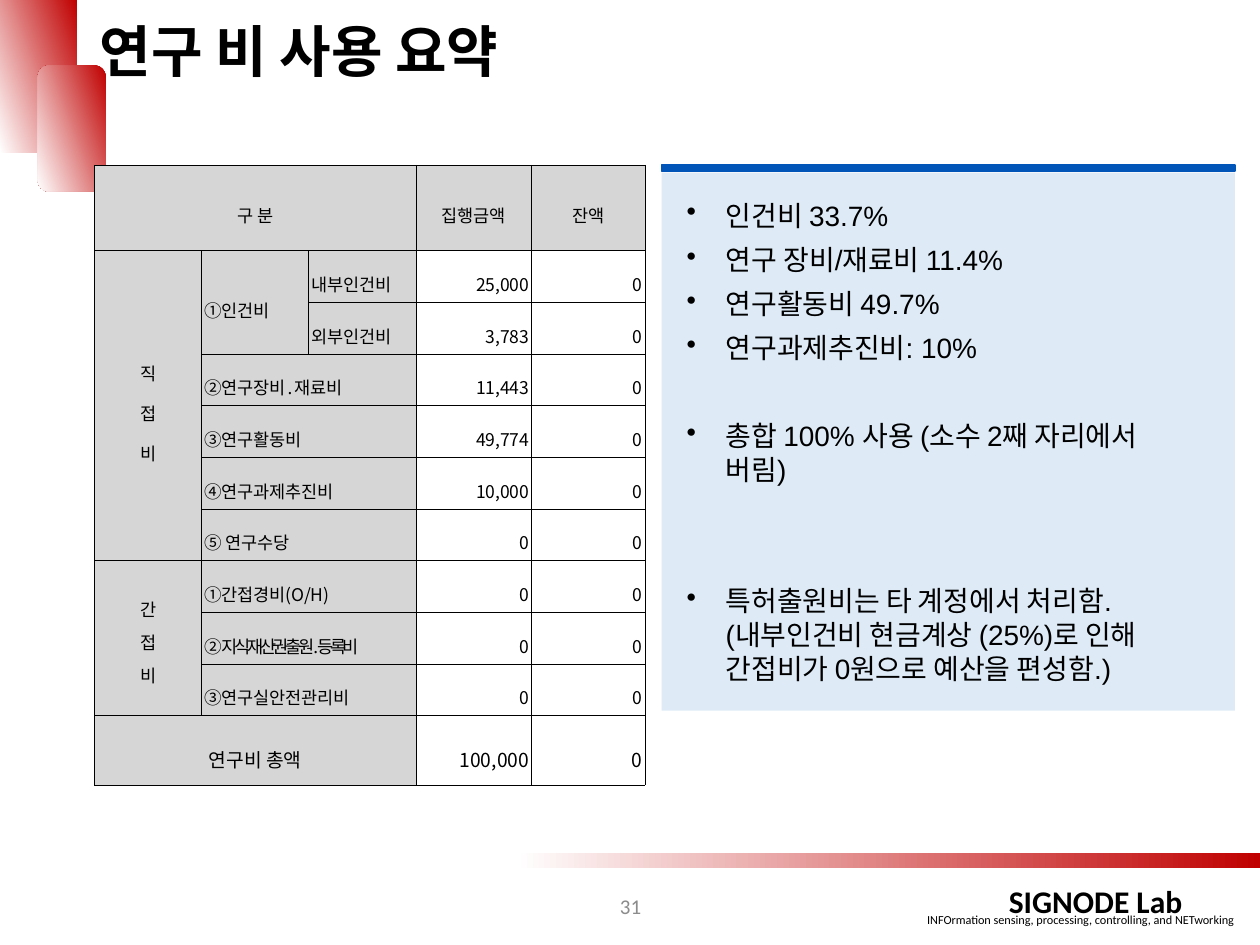
from pptx import Presentation
from pptx.util import Inches, Pt
from pptx.dml.color import RGBColor
from pptx.enum.shapes import MSO_SHAPE as Kind
from pptx.enum.text import MSO_ANCHOR as Anchor, MSO_AUTO_SIZE as Auto, PP_ALIGN as Align
from pptx.oxml import parse_xml
from pptx.oxml.ns import nsdecls
from lxml.etree import SubElement

TITLE = "연구 비 사용 요약"
NOTES = [
    ("인건비 33.7%", 6),
    ("연구 장비/재료비 11.4%", 6),
    ("연구활동비 49.7%", 6),
    ("연구과제추진비: 10%", 6),
    ("총합 100% 사용 (소수 2째 자리에서 버림)", 31),
    ("특허출원비는 타 계정에서 처리함. (내부인건비 현금계상 (25%)로 인해 간접비가 0원으로 예산을 편성함.)", 56),
]
FOOT = [
    ("INFOrmation sensing, processing, controlling, and NETworking",
     (7.26, 7.19, 2.93, 0.22), 7, "000000", False, Align.LEFT, Anchor.TOP),
    ("SIGNODE Lab", (7.39, 6.95, 2.61, 0.4), 18, "000000", True, Align.CENTER, Anchor.TOP),
    ("31", (3.88, 6.99, 2.25, 0.4), 12, "8C8C8C", False, Align.CENTER, Anchor.MIDDLE),
]
DECOR = [
    (Kind.RECTANGLE, (0, 0, 0.61, 1.21), ("C00000", "FFFFFF"), 160),
    (Kind.FLOWCHART_ALTERNATE_PROCESS, (0.3, 0.52, 0.54, 1), ("C00000", "FFFFFF"), 160),
    (Kind.RECTANGLE, (4.09, 6.77, 5.91, 0.12), ("FFFFFF", "C00000"), 0),
]
ROWS = [
    ("구 분", "", "", "집행금액", "잔액"),
    ("직\n접\n비", "①인건비", "내부인건비", "25,000", "0"),
    ("", "", "외부인건비", "3,783", "0"),
    ("", "②연구장비․재료비", "", "11,443", "0"),
    ("", "③연구활동비", "", "49,774", "0"),
    ("", "④연구과제추진비", "", "10,000", "0"),
    ("", "⑤ 연구수당", "", "0", "0"),
    ("간\n접\n비", "①간접경비(O/H)", "", "0", "0"),
    ("", "②지식재산권출원․등록비", "", "0", "0"),
    ("", "③연구실안전관리비", "", "0", "0"),
    ("연구비 총액", "", "", "100,000", "0"),
]
SPANS = [(0, 0, 0, 2), (1, 0, 6, 0), (1, 1, 2, 1), (7, 0, 9, 0), (10, 0, 10, 2)]
SPANS += [(r, 1, r, 2) for r in range(3, 10)]
WIDTHS = [0.85, 0.85, 0.85, 0.92, 0.9]
HEIGHTS = [0.68] + [0.41] * 9 + [0.55]
TIGHT = "지식재산권출원․등록비"


def rgb(code):
    """Turn a hex string into a colour."""
    return RGBColor.from_string(code)


def box(at):
    """Turn inches into lengths."""
    return [Inches(n) for n in at]


def style(par, size, face="Calibri", color="000000", bold=False, align=Align.LEFT):
    """Set the font and alignment of a paragraph."""
    font = par.font
    font.size, font.name, font.bold = Pt(size), face, bold
    font.color.rgb = rgb(color)
    par.alignment = align


def block(slide, kind, at, fill=None):
    """Add a preset shape without shadow or line."""
    shape = slide.shapes.add_shape(kind, *box(at))
    shape.shadow.inherit = False
    shape.line.fill.background()
    if fill:
        shape.fill.solid()
        shape.fill.fore_color.rgb = rgb(fill)
    return shape


def add_decor(slide):
    """Add the gradient bars."""
    for kind, at, ends, angle in DECOR:
        fill = block(slide, kind, at).fill
        fill.gradient()
        fill.gradient_angle = -angle % 360
        for stop, code in zip(fill.gradient_stops, ends):
            stop.color.rgb = rgb(code)


def add_title(slide):
    """Place the title above the bars."""
    title = slide.shapes.title
    title.left, title.top, title.width, title.height = box((0.69, 0.08, 8.88, 0.64))
    frame = title.text_frame
    frame.text = TITLE
    frame.auto_size, frame.vertical_anchor = Auto.NONE, Anchor.TOP
    style(frame.paragraphs[0], 32, bold=True)
    slide.shapes._spTree.append(title._element)


def add_foot(slide):
    """Add the footer texts."""
    for text, at, size, color, bold, align, anchor in FOOT:
        frame = slide.shapes.add_textbox(*box(at)).text_frame
        frame.word_wrap, frame.vertical_anchor = True, anchor
        frame.text = text
        style(frame.paragraphs[0], size, color=color, bold=bold, align=align)


def add_notes(slide):
    """Add the bulleted panel and its top bar."""
    panel = block(slide, Kind.RECTANGLE, (5.25, 1.37, 4.55, 4.27), "DEEBF7")
    bar = block(slide, Kind.RECTANGLE, (5.25, 1.31, 4.55, 0.05), "0255B8")
    bar.line.color.rgb, bar.line.width = rgb("0255B8"), Pt(1)
    frame = panel.text_frame
    frame.word_wrap, frame.vertical_anchor = True, Anchor.MIDDLE
    frame.margin_left, frame.margin_right = Inches(0.2), Inches(0.39)
    frame.text = "\n".join(text for text, _ in NOTES)
    for par, (_, gap) in zip(frame.paragraphs, NOTES):
        style(par, 16, "Arial")
        par.space_before = Pt(gap)
        props = par._p.get_or_add_pPr()
        props.set("marL", str(Inches(0.31)))
        props.set("indent", str(-Inches(0.31)))
        props.insert_element_before(
            parse_xml(f'<a:buChar {nsdecls("a")} char="•"/>'), "a:tabLst", "a:defRPr")


def add_edges(cell):
    """Draw thin black borders around a cell."""
    props = cell._tc.get_or_add_tcPr()
    for side in "LRTB":
        props.append(parse_xml(
            f'<a:ln{side} {nsdecls("a")} w="{Pt(0.28)}"><a:solidFill>'
            f'<a:srgbClr val="000000"/></a:solidFill></a:ln{side}>'))


def fill_cell(cell, text, row, col):
    """Write and format one cell."""
    add_edges(cell)
    cell.fill.solid()
    cell.fill.fore_color.rgb = rgb("D6D6D6" if row == 0 or col < 3 else "FFFFFF")
    cell.margin_left = cell.margin_right = cell.margin_top = cell.margin_bottom = Inches(0.02)
    cell.vertical_anchor = Anchor.MIDDLE
    if not text:
        return
    frame = cell.text_frame
    frame.text = text
    value = row > 0 and col > 2
    mid = row == 0 or col == 0
    align = Align.RIGHT if value else Align.CENTER if mid else Align.JUSTIFY
    for par in frame.paragraphs:
        style(par, 11 if row == len(ROWS) - 1 else 10,
              "Noto Sans CJK KR" if value else "Calibri", align=align)
        par.line_spacing = 1.3 if (row, col) == (7, 0) else 1.6
    first = frame.paragraphs[0]
    for part in (TIGHT, "(O/H)"):
        if text.endswith(part):
            first.runs[0].text = text.removesuffix(part)
            run = first.add_run()
            run.text = part
            if part == TIGHT:
                run.font._element.set("spc", "-180")
            else:
                run.font.name = "Noto Sans CJK KR"


def add_costs(slide):
    """Add the cost table."""
    at = (0.75, 1.31, sum(WIDTHS), sum(HEIGHTS))
    table = slide.shapes.add_table(len(ROWS), len(WIDTHS), *box(at)).table
    for col, width in zip(table.columns, WIDTHS):
        col.width = Inches(width)
    for row, height in zip(table.rows, HEIGHTS):
        row.height = Inches(height)
    for top, left, low, right in SPANS:
        table.cell(top, left).merge(table.cell(low, right))
    for r, row in enumerate(ROWS):
        for c, text in enumerate(row):
            fill_cell(table.cell(r, c), text, r, c)


def main():
    """Build the slide and save it."""
    deck = Presentation()
    deck.slide_width, deck.slide_height = Inches(10), Inches(7.5)
    slide = deck.slides.add_slide(deck.slide_layouts[5])
    add_decor(slide)
    add_title(slide)
    add_foot(slide)
    add_notes(slide)
    add_costs(slide)
    deck.save("out.pptx")


if __name__ == "__main__":
    main()
